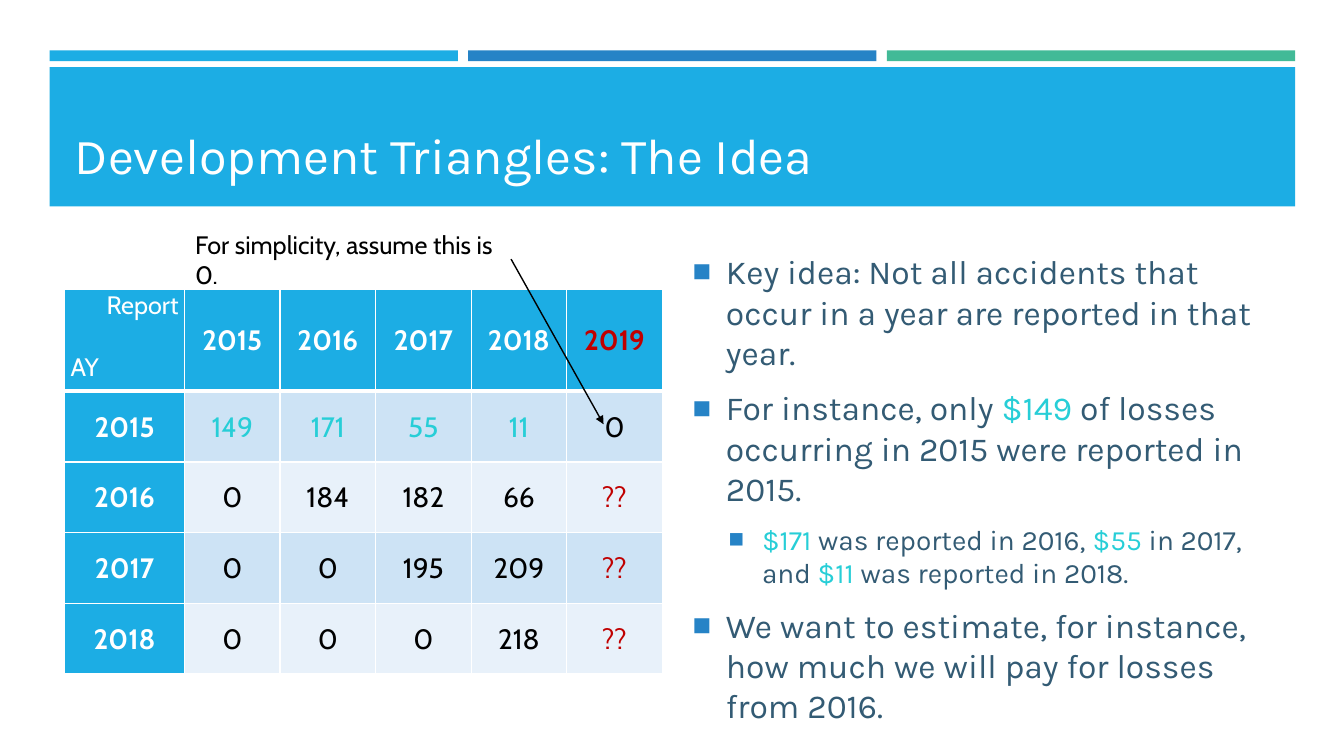
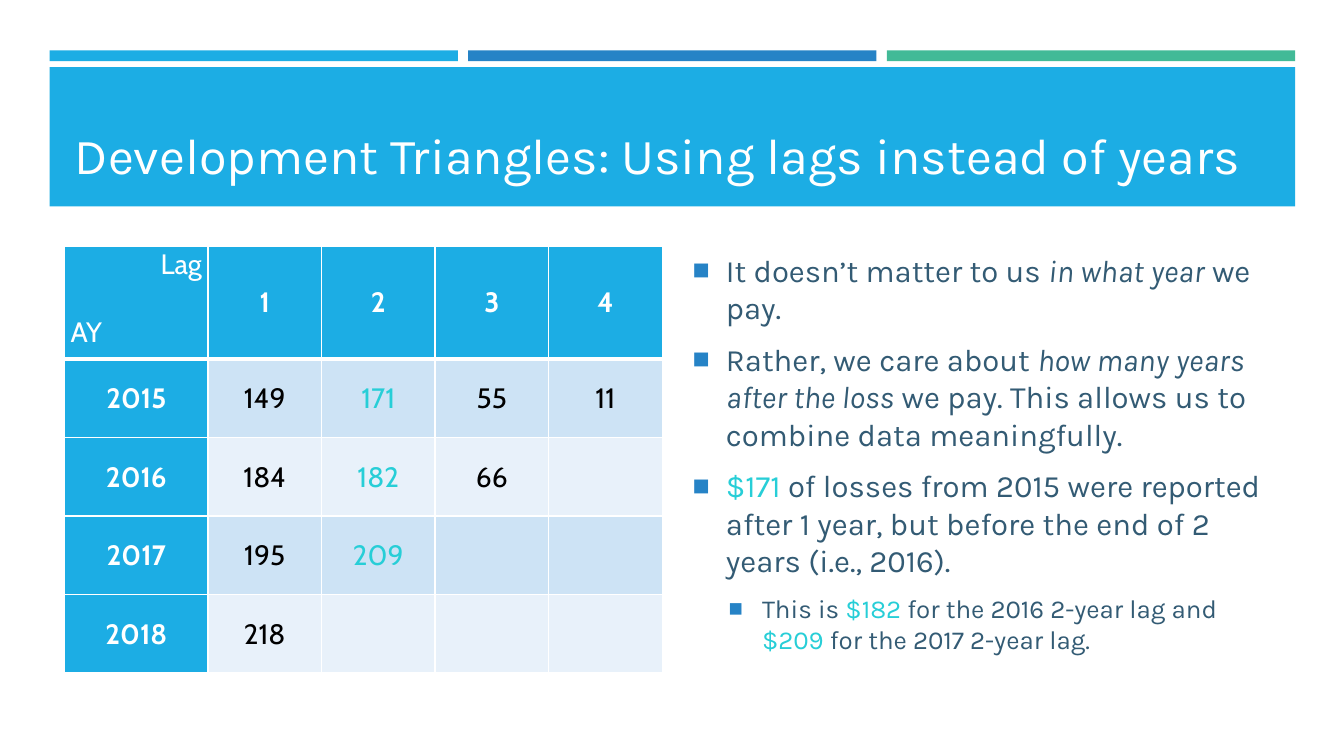
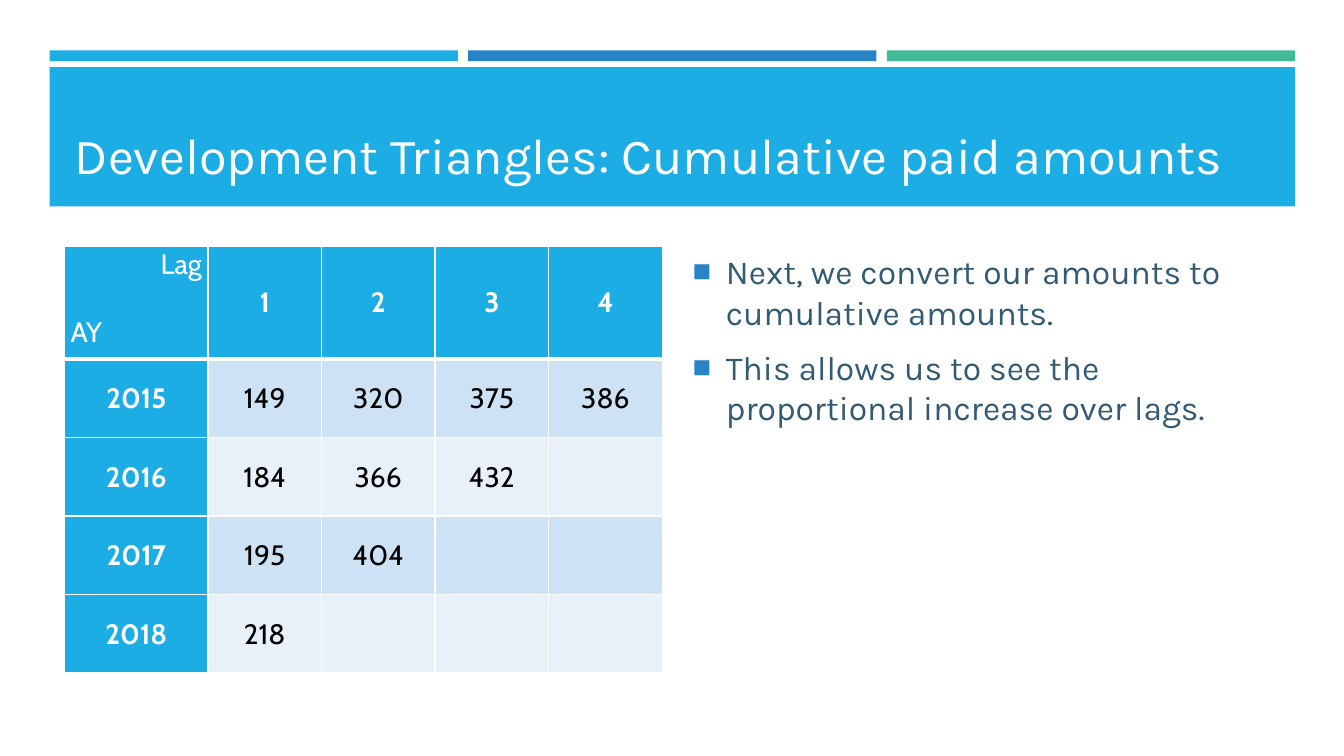
from dataclasses import dataclass
from typing import NamedTuple

from lxml import etree
from pptx import Presentation
from pptx.dml.color import RGBColor
from pptx.enum import shapes, text
from pptx.oxml import ns
from pptx.util import Cm, Pt

SKY = RGBColor(0x1C, 0xAD, 0xE4)
BLUE = RGBColor(0x26, 0x83, 0xC6)
GREEN = RGBColor(0x42, 0xBA, 0x97)
AQUA = RGBColor(0x27, 0xCE, 0xD7)
SLATE = RGBColor(0x33, 0x5B, 0x74)
RED = RGBColor(0xC0, 0x00, 0x00)
WHITE = RGBColor(0xFF, 0xFF, 0xFF)
BLACK = RGBColor(0x00, 0x00, 0x00)
ROW_FILLS = (RGBColor(0xCD, 0xE3, 0xF5), RGBColor(0xE8, 0xF1, 0xFA))

TEXT_FONT = "Karla"
TABLE_FONT = "Cabin"

BAND_LEFT, BAND_WIDTH, BAND_GAP = 1.25, 31.39, 0.26
CONTENT_LEFT, CONTENT_TOP, COLUMN_WIDTH = 1.63, 6.2, 15.06
CELL_SIZE = 20


class Span(NamedTuple):
    text: str
    color: RGBColor | None = None
    italic: bool = False


class Bullet(NamedTuple):
    spans: list[Span]
    size: float
    level: int = 0


@dataclass
class Triangle:
    """A table of amounts by accident year (AY), with lengths in centimetres."""
    corner: str
    headings: list[Span]
    years: dict[str, list[Span]]
    top: float = CONTENT_TOP
    first_column: float = 3.61
    header_height: float = 2.84
    row_height: float = 1.98
    corner_size: int = 20


def plain(*words: str) -> list[Span]:
    return [Span(word) for word in words]


def aqua(*words: str) -> list[Span]:
    return [Span(word, AQUA) for word in words]


def red(*words: str) -> list[Span]:
    return [Span(word, RED) for word in words]


def italic(words: str) -> list[Span]:
    return [Span(words, italic=True)]


def add_xml(parent, tag: str, **attributes: str):
    return etree.SubElement(parent, ns.qn(tag), attributes)


def style_font(font, name: str, size: float, color: RGBColor, bold: bool = False) -> None:
    font.name = name
    font.size = Pt(size)
    font.bold = bold
    font.color.rgb = color


def place(shape, left: float, top: float, width: float, height: float) -> None:
    shape.left, shape.top, shape.width, shape.height = map(Cm, (left, top, width, height))


def prepare_layout(layout) -> None:
    """Keep only the title and body placeholders, in their places."""
    for holder in list(layout.placeholders):
        if holder.placeholder_format.idx > 1:
            holder.element.getparent().remove(holder.element)
    title, body = layout.placeholders
    place(title, CONTENT_LEFT, 2.03, 30.63, 2.74)
    title.text_frame.vertical_anchor = text.MSO_ANCHOR.BOTTOM
    place(body, 17.2, CONTENT_TOP, COLUMN_WIDTH, 10.08)


def add_bands(layout, slide) -> None:
    """Draw the bands on a slide, then move them behind the layout's placeholders."""
    width = (BAND_WIDTH - 2 * BAND_GAP) / 3
    bands = [(BAND_LEFT + i * (width + BAND_GAP), 1.27, width, 0.27, color)
             for i, color in enumerate((SKY, BLUE, GREEN))]
    bands.append((BAND_LEFT, 1.69, BAND_WIDTH, 3.51, SKY))
    for index, (*area, color) in enumerate(bands):
        band = slide.shapes.add_shape(shapes.MSO_SHAPE.RECTANGLE, *map(Cm, area))
        band.shadow.inherit = False
        band.fill.solid()
        band.fill.fore_color.rgb = color
        band.line.fill.background()
        layout.shapes.element.insert(2 + index, band.element)


def fill_title(slide, words: str) -> None:
    frame = slide.shapes.title.text_frame
    frame.text = words
    frame.auto_size = text.MSO_AUTO_SIZE.NONE
    para = frame.paragraphs[0]
    para.alignment = text.PP_ALIGN.LEFT
    style_font(para.font, TEXT_FONT, 36, WHITE)


def style_bullet(para, level: int) -> None:
    para.level = level
    para.space_after = Pt(6)
    props = para._p.get_or_add_pPr()
    props.set("marL", str(Cm((0.84, 1.75)[level])))
    props.set("indent", str(Cm(-0.84)))
    add_xml(add_xml(props, "a:buClr"), "a:srgbClr", val=str(BLUE))
    add_xml(props, "a:buSzPct", val="92000")
    add_xml(props, "a:buFont", typeface="Arial")
    add_xml(props, "a:buChar", char="■")


def fill_body(slide, bullets: list[Bullet]) -> None:
    frame = slide.placeholders[1].text_frame
    frame.auto_size = text.MSO_AUTO_SIZE.NONE
    for index, bullet in enumerate(bullets):
        para = frame.add_paragraph() if index else frame.paragraphs[0]
        style_bullet(para, bullet.level)
        style_font(para.font, TEXT_FONT, bullet.size, SLATE)
        for span in bullet.spans:
            run = para.add_run()
            run.text = span.text
            if span.color is not None:
                run.font.color.rgb = span.color
            if span.italic:
                run.font.italic = True


def style_cell(cell, fill: RGBColor, top: float, bottom: float) -> None:
    """Fill a cell and give it white borders, with top and bottom widths in points."""
    cell.fill.solid()
    cell.fill.fore_color.rgb = fill
    cell.margin_left = cell.margin_right = cell.margin_bottom = 0
    cell.margin_top = Cm(0.03)
    props = cell._tc.get_or_add_tcPr()
    widths = {"a:lnL": 1, "a:lnR": 1, "a:lnT": top, "a:lnB": bottom}
    for index, (tag, width) in enumerate(widths.items()):
        border = add_xml(props, tag, w=str(Pt(width)))
        add_xml(add_xml(border, "a:solidFill"), "a:srgbClr", val=str(WHITE))
        props.insert(index, border)


def fill_cell(cell, span: Span, heading: bool) -> None:
    cell.vertical_anchor = text.MSO_ANCHOR.MIDDLE
    para = cell.text_frame.paragraphs[0]
    para.alignment = text.PP_ALIGN.CENTER
    color = span.color or (WHITE if heading else BLACK)
    style_font(para.font, TABLE_FONT, CELL_SIZE, color, heading)
    para.add_run().text = span.text


def fill_corner(cell, across: str, size: int) -> None:
    cell.margin_left = cell.margin_right = Cm(0.15)
    cell.text_frame.text = f"{across}\nAY"
    above, below = cell.text_frame.paragraphs
    above.alignment = text.PP_ALIGN.RIGHT
    below.alignment = text.PP_ALIGN.LEFT
    below.space_before = Pt(round(size * 1.215))
    for para in (above, below):
        style_font(para.font, TABLE_FONT, size, WHITE)


def add_triangle(slide, triangle: Triangle) -> None:
    rows = [[Span(""), *triangle.headings]]
    rows += [[Span(year), *amounts] for year, amounts in triangle.years.items()]
    heights = [triangle.header_height] + [triangle.row_height] * len(triangle.years)
    count = len(triangle.headings)
    other_column = (COLUMN_WIDTH - triangle.first_column) / count
    widths = [triangle.first_column] + [other_column] * count

    table = slide.shapes.add_table(
        len(heights), len(widths), Cm(CONTENT_LEFT), Cm(triangle.top),
        Cm(COLUMN_WIDTH), Cm(sum(heights))).table
    table.first_row = table.horz_banding = False
    for column, width in zip(table.columns, widths):
        column.width = Cm(width)
    for r, (row, height) in enumerate(zip(rows, heights)):
        table.rows[r].height = Cm(height)
        for c in range(len(widths)):
            heading = r == 0 or c == 0
            cell = table.cell(r, c)
            fill = SKY if heading else ROW_FILLS[(r - 1) % 2]
            style_cell(cell, fill, 3 if r == 1 else 1, 3 if r == 0 else 1)
            if c < len(row) and row[c].text:
                fill_cell(cell, row[c], heading)
    fill_corner(table.cell(0, 0), triangle.corner, triangle.corner_size)


def add_zero_note(slide) -> None:
    """Add the remark above the table and its arrow to the 2019 amount."""
    arrow = slide.shapes.add_connector(
        shapes.MSO_CONNECTOR.STRAIGHT, Cm(12.88), Cm(6.53), Cm(15.21), Cm(10.69))
    arrow.line.color.rgb = BLACK
    arrow.line.width = Pt(1)
    add_xml(arrow.line._get_or_add_ln(), "a:tailEnd", type="triangle")
    add_xml(arrow.element.spPr, "a:effectLst")

    box = slide.shapes.add_textbox(Cm(4.67), Cm(5.66), Cm(8.36), Cm(1.02))
    frame = box.text_frame
    frame.word_wrap = True
    frame.auto_size = text.MSO_AUTO_SIZE.SHAPE_TO_FIT_TEXT
    frame.text = "For simplicity, assume this is 0."
    style_font(frame.paragraphs[0].font, TABLE_FONT, 18, BLACK)


def add_content_slide(deck, title: str, triangle: Triangle, bullets: list[Bullet]):
    slide = deck.slides.add_slide(deck.slide_layouts[1])
    fill_title(slide, title)
    add_triangle(slide, triangle)
    fill_body(slide, bullets)
    return slide


REPORT_YEARS = Triangle(
    "Report",
    plain("2015", "2016", "2017", "2018") + red("2019"),
    {
        "2015": aqua("149", "171", "55", "11") + plain("0"),
        "2016": plain("0", "184", "182", "66") + red("??"),
        "2017": plain("0", "0", "195", "209") + red("??"),
        "2018": plain("0", "0", "0", "218") + red("??"),
    },
    top=7.29, first_column=3.02, header_height=2.57, row_height=1.78, corner_size=18,
)
LAGS = Triangle(
    "Lag",
    plain("1", "2", "3", "4"),
    {
        "2015": plain("149") + aqua("171") + plain("55", "11"),
        "2016": plain("184") + aqua("182") + plain("66"),
        "2017": plain("195") + aqua("209"),
        "2018": plain("218"),
    },
)
CUMULATIVE = Triangle(
    "Lag",
    plain("1", "2", "3", "4"),
    {
        "2015": plain("149", "320", "375", "386"),
        "2016": plain("184", "366", "432"),
        "2017": plain("195", "404"),
        "2018": plain("218"),
    },
)

IDEA_BULLETS = [
    Bullet(plain("Key idea: Not all accidents that occur in a year are reported "
                 "in that year."), 24),
    Bullet(plain("For instance, only ") + aqua("$149")
           + plain(" of losses occurring in 2015 were reported in 2015."), 24),
    Bullet(aqua("$171") + plain(" was reported in 2016, ") + aqua("$55")
           + plain(" in 2017, and ") + aqua("$11")
           + plain(" was reported in 2018."), 20, level=1),
    Bullet(plain("We want to estimate, for instance, how much we will pay for "
                 "losses from 2016."), 24),
]
LAG_BULLETS = [
    Bullet(plain("It doesn’t matter to us ") + italic("in what year")
           + plain(" we pay."), 22.2),
    Bullet(plain("Rather, we care about ") + italic("how many years after the loss")
           + plain(" we pay. This allows us to combine data meaningfully."), 22.2),
    Bullet(aqua("$171") + plain(" of losses from 2015 were reported after 1 year, "
                                "but before the end of 2 years (i.e., 2016)."), 22.2),
    Bullet(plain("This is ") + aqua("$182") + plain(" for the 2016 2-year lag and ")
           + aqua("$209") + plain(" for the 2017 2-year lag."), 18.5, level=1),
]
CUMULATIVE_BULLETS = [
    Bullet(plain("Next, we convert our amounts to cumulative amounts."), 24),
    Bullet(plain("This allows us to see the proportional increase over lags."), 24),
]


def main() -> None:
    deck = Presentation()
    deck.slide_width, deck.slide_height = Cm(33.87), Cm(19.05)
    layout = deck.slide_layouts[1]
    prepare_layout(layout)
    idea = add_content_slide(
        deck, "Development Triangles: The Idea", REPORT_YEARS, IDEA_BULLETS)
    add_bands(layout, idea)
    add_zero_note(idea)
    add_content_slide(
        deck, "Development Triangles: Using lags instead of years", LAGS, LAG_BULLETS)
    add_content_slide(
        deck, "Development Triangles: Cumulative paid amounts", CUMULATIVE,
        CUMULATIVE_BULLETS)
    deck.save("out.pptx")


if __name__ == "__main__":
    main()
